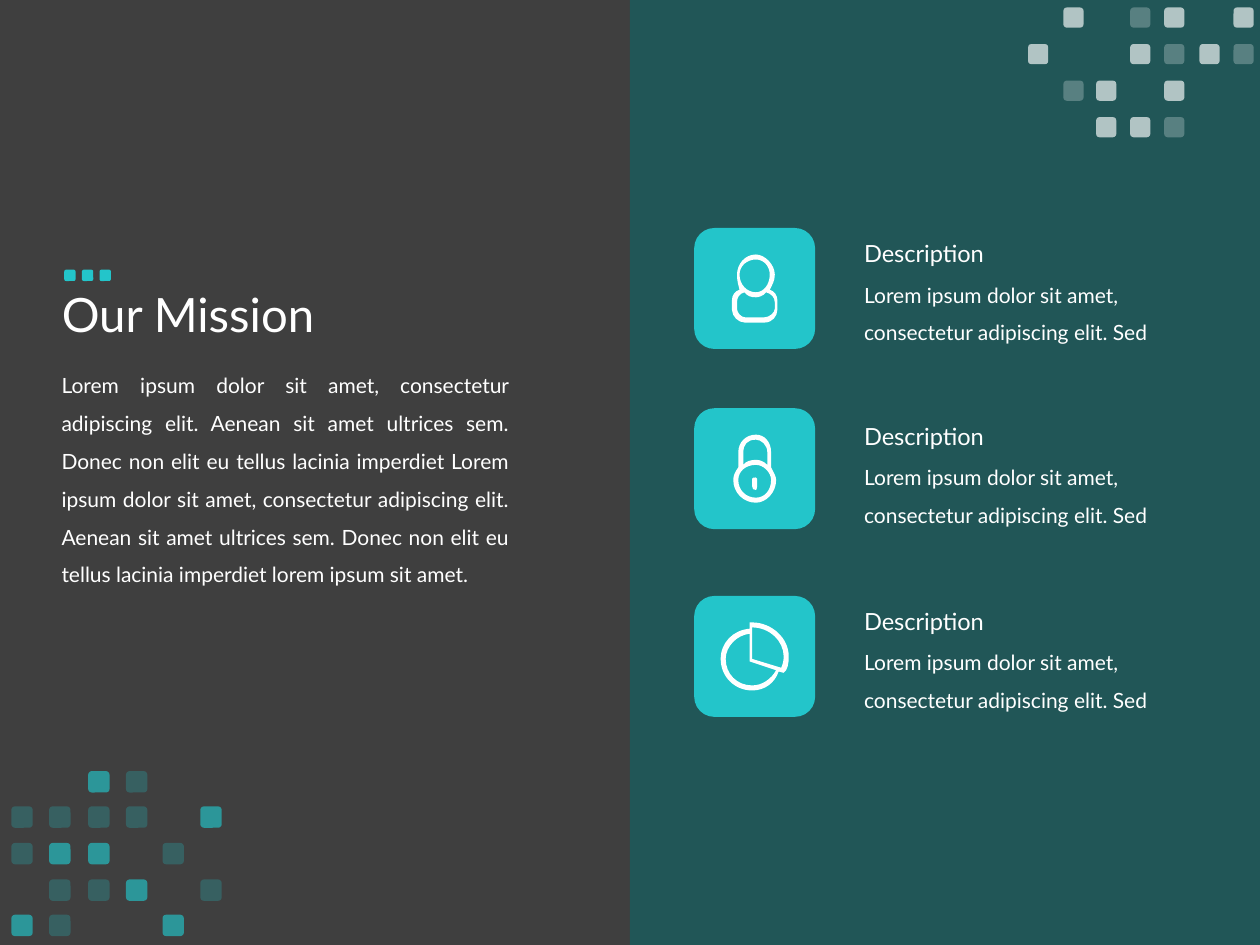
from dataclasses import dataclass

from lxml.etree import SubElement
from pptx import Presentation
from pptx.dml.color import RGBColor
from pptx.enum.shapes import MSO_SHAPE
from pptx.enum.text import MSO_ANCHOR, MSO_AUTO_SIZE, PP_ALIGN
from pptx.oxml.ns import qn
from pptx.util import Inches, Pt

DARK = RGBColor(0x3F, 0x3F, 0x3F)
TEAL = RGBColor(0x12, 0x63, 0x65)
CYAN = RGBColor(0x23, 0xC5, 0xCA)
WHITE = RGBColor(0xFF, 0xFF, 0xFF)
FONT = "Lato"
OPACITY = {"#": 65, "o": 25}  # marks used in the mosaic patterns

MISSION = (
    "Lorem ipsum dolor sit amet, consectetur adipiscing elit. Aenean sit amet "
    "ultrices sem. Donec non elit eu tellus lacinia imperdiet Lorem ipsum dolor "
    "sit amet, consectetur adipiscing elit. Aenean sit amet ultrices sem. Donec "
    "non elit eu tellus lacinia imperdiet lorem ipsum sit amet."
)
SUMMARY = "Lorem ipsum dolor sit amet, consectetur adipiscing elit. Sed"

# A contour is a start point, then lines (x, y) and Bezier curves (six numbers)
Contour = list[tuple[float, ...]]


@dataclass
class Feature:
    tile_top: float
    text_top: float
    icon: list[Contour]


@dataclass
class Mosaic:
    lefts: list[float]
    tops: list[float]
    size: float
    color: RGBColor
    rows: list[str]


PERSON = [
    [(6.11, 2.3), (6.13, 2.26, 6.15, 2.23, 6.15, 2.18), (6.15, 2.1, 6.07, 2.02, 6, 2.02),
     (5.91, 2.02, 5.85, 2.1, 5.85, 2.18), (5.85, 2.23, 5.86, 2.26, 5.87, 2.3),
     (5.83, 2.31, 5.81, 2.35, 5.81, 2.38), (5.81, 2.46), (5.81, 2.51, 5.86, 2.56, 5.91, 2.56),
     (6.07, 2.56), (6.13, 2.56, 6.17, 2.51, 6.17, 2.46), (6.17, 2.38),
     (6.17, 2.35, 6.15, 2.31, 6.11, 2.3)],
    [(5.87, 2.18), (5.87, 2.11, 5.93, 2.06, 6, 2.06), (6.06, 2.06, 6.11, 2.11, 6.11, 2.18),
     (6.11, 2.26, 6.06, 2.32, 6, 2.32), (5.93, 2.32, 5.87, 2.26, 5.87, 2.18)],
    [(6.15, 2.45), (6.15, 2.48, 6.11, 2.52, 6.06, 2.52), (5.92, 2.52),
     (5.88, 2.52, 5.85, 2.48, 5.85, 2.45), (5.85, 2.4), (5.85, 2.36, 5.87, 2.33, 5.91, 2.32),
     (5.93, 2.35, 5.96, 2.36, 6, 2.36), (6.02, 2.36, 6.06, 2.35, 6.08, 2.32),
     (6.12, 2.33, 6.15, 2.36, 6.15, 2.4)],
]
PADLOCK = [
    [(6, 3.79), (5.98, 3.79, 5.97, 3.79, 5.97, 3.8), (5.97, 3.86),
     (5.97, 3.88, 5.98, 3.89, 6, 3.89), (6, 3.89, 6.01, 3.88, 6.01, 3.86), (6.01, 3.8),
     (6.01, 3.79, 6, 3.79, 6, 3.79)],
    [(6.12, 3.71), (6.12, 3.59), (6.12, 3.51, 6.07, 3.45, 6, 3.45),
     (5.92, 3.45, 5.86, 3.51, 5.86, 3.59), (5.86, 3.71), (5.83, 3.75, 5.82, 3.78, 5.82, 3.81),
     (5.82, 3.91, 5.9, 3.99, 6, 3.99), (6.08, 3.99, 6.16, 3.91, 6.16, 3.81),
     (6.16, 3.78, 6.14, 3.75, 6.12, 3.71)],
    [(5.9, 3.59), (5.9, 3.53, 5.93, 3.49, 6, 3.49), (6.04, 3.49, 6.09, 3.53, 6.09, 3.59),
     (6.09, 3.69), (6.06, 3.66, 6.03, 3.65, 6, 3.65), (5.96, 3.65, 5.92, 3.66, 5.9, 3.69)],
    [(6, 3.95), (5.92, 3.95, 5.86, 3.89, 5.86, 3.81), (5.86, 3.74, 5.92, 3.69, 6, 3.69),
     (6.06, 3.69, 6.12, 3.75, 6.12, 3.81), (6.12, 3.89, 6.07, 3.95, 6, 3.95)],
]
PIE = [
    [(5.97, 4.94), (5.95, 4.94), (5.95, 4.99), (5.82, 5, 5.72, 5.1, 5.72, 5.23),
     (5.72, 5.37, 5.83, 5.48, 5.97, 5.48), (6.07, 5.48, 6.15, 5.42, 6.18, 5.33), (6.22, 5.34),
     (6.25, 5.32, 6.26, 5.27, 6.26, 5.21), (6.26, 5.06, 6.12, 4.94, 5.97, 4.94)],
    [(5.97, 5.44), (5.85, 5.44, 5.76, 5.35, 5.76, 5.23), (5.76, 5.13, 5.85, 5.04, 5.95, 5.03),
     (5.95, 5.25), (6.16, 5.32), (6.12, 5.39, 6.05, 5.44, 5.97, 5.44)],
    [(6.2, 5.3), (5.97, 5.23), (5.97, 4.98), (6.11, 4.98, 6.22, 5.09, 6.22, 5.21),
     (6.22, 5.25, 6.21, 5.28, 6.2, 5.3)],
]
FEATURES = [
    Feature(1.81, 1.85, PERSON),
    Feature(3.24, 3.3, PADLOCK),
    Feature(4.73, 4.77, PIE),
]
MOSAICS = [
    Mosaic([8.16, 8.44, 8.7, 8.97, 9.24, 9.52, 9.79], [0.06, 0.35, 0.64, 0.93], 0.16, WHITE,
           [".#.o#.#", "#..#o#o", ".o#.#..", "..##o.."]),
    Mosaic([0.09, 0.39, 0.7, 1, 1.29, 1.59], [6.12, 6.4, 6.69, 6.98, 7.26], 0.17, CYAN,
           ["..#o..", "oooo.#", "o##.o.", ".oo#.o", "#o..#."]),
]


def paint(shape, color: RGBColor, opacity: int = 100) -> None:
    shape.shadow.inherit = False
    shape.line.fill.background()
    shape.fill.solid()
    shape.fill.fore_color.rgb = color
    if opacity < 100:
        color_element = shape.fill._xPr.find(qn("a:solidFill"))[0]
        SubElement(color_element, qn("a:alpha"), val=str(opacity * 1000))


def add_block(shapes, kind, left: float, top: float, width: float, height: float,
              color: RGBColor, opacity: int = 100) -> None:
    block = shapes.add_shape(kind, Inches(left), Inches(top), Inches(width), Inches(height))
    paint(block, color, opacity)


def write(para, text: str, size: float, spacing: float, align=PP_ALIGN.LEFT) -> None:
    para.text = text
    para.alignment = align
    para.line_spacing = spacing
    para.font.name = FONT
    para.font.size = Pt(size)
    para.font.color.rgb = WHITE


def add_text(page, left: float, top: float, width: float, height: float, text: str,
             size: float, spacing: float, align=PP_ALIGN.LEFT) -> None:
    box = page.shapes.add_textbox(Inches(left), Inches(top), Inches(width), Inches(height))
    box.text_frame.word_wrap = True
    box.text_frame.auto_size = MSO_AUTO_SIZE.SHAPE_TO_FIT_TEXT
    write(box.text_frame.paragraphs[0], text, size, spacing, align)


def add_icon(page, contours: list[Contour]) -> None:
    def end_point(segment: tuple[float, ...]) -> tuple[int, int]:
        return Inches(segment[-2]), Inches(segment[-1])

    # Outline through the end points
    builder = page.shapes.build_freeform(*end_point(contours[0][0]))
    for number, contour in enumerate(contours):
        if number:
            builder.move_to(*end_point(contour[0]))
        builder.add_line_segments([end_point(segment) for segment in contour[1:]], close=True)
    icon = builder.convert_to_shape()
    paint(icon, WHITE)

    # Bend the curved segments with their control points
    segments = [segment for contour in contours for segment in contour[1:]]
    lines = list(icon._element.iter(qn("a:lnTo")))
    for line, segment in zip(lines, segments):
        if len(segment) == 6:
            line.tag = qn("a:cubicBezTo")
            for index in (0, 2):
                point = SubElement(line, qn("a:pt"),
                                   x=str(Inches(segment[index]) - icon.left),
                                   y=str(Inches(segment[index + 1]) - icon.top))
                line.insert(index // 2, point)


def add_mosaic(page, mosaic: Mosaic) -> None:
    group = page.shapes.add_group_shape()
    for top, marks in zip(mosaic.tops, mosaic.rows):
        for left, mark in zip(mosaic.lefts, marks):
            if mark in OPACITY:
                add_block(group.shapes, MSO_SHAPE.ROUNDED_RECTANGLE, left, top,
                          mosaic.size, mosaic.size, mosaic.color, OPACITY[mark])


def main() -> None:
    deck = Presentation()
    deck.slide_width, deck.slide_height = Inches(10), Inches(7.5)
    page = deck.slides.add_slide(deck.slide_layouts[5])
    page.background.fill.solid()
    page.background.fill.fore_color.rgb = DARK

    # Title, right panel and mission text
    title = page.shapes.title
    title.left, title.top = Inches(0.39), Inches(1.68)
    title.width, title.height = Inches(8.62), Inches(1.67)
    title.text_frame.vertical_anchor = MSO_ANCHOR.MIDDLE
    title.text_frame.auto_size = MSO_AUTO_SIZE.NONE
    write(title.text_frame.paragraphs[0], "Our Mission", 27, 0.9)
    add_block(page.shapes, MSO_SHAPE.RECTANGLE, 5, 0, 5, 7.5, TEAL, 65)
    add_text(page, 0.39, 2.81, 3.75, 1.88, MISSION, 12, 1.5, PP_ALIGN.JUSTIFY)

    # Feature tiles, texts and icons
    for feature in FEATURES:
        add_block(page.shapes, MSO_SHAPE.ROUNDED_RECTANGLE,
                  5.51, feature.tile_top, 0.96, 0.96, CYAN)
    for feature in FEATURES:
        add_text(page, 6.76, feature.text_top + 0.24, 2.98, 0.67, SUMMARY, 12, 1.5)
        add_text(page, 6.76, feature.text_top, 1.76, 0.33, "Description", 13.5, 1.0)

    # Three dots above the title
    dots = page.shapes.add_group_shape()
    for number in range(3):
        add_block(dots.shapes, MSO_SHAPE.ROUNDED_RECTANGLE,
                  0.51 + number * 0.14, 2.14, 0.09, 0.09, CYAN)

    # Corner mosaics
    for mosaic in MOSAICS:
        add_mosaic(page, mosaic)
    for feature in FEATURES:
        add_icon(page, feature.icon)

    deck.save("out.pptx")


if __name__ == "__main__":
    main()
